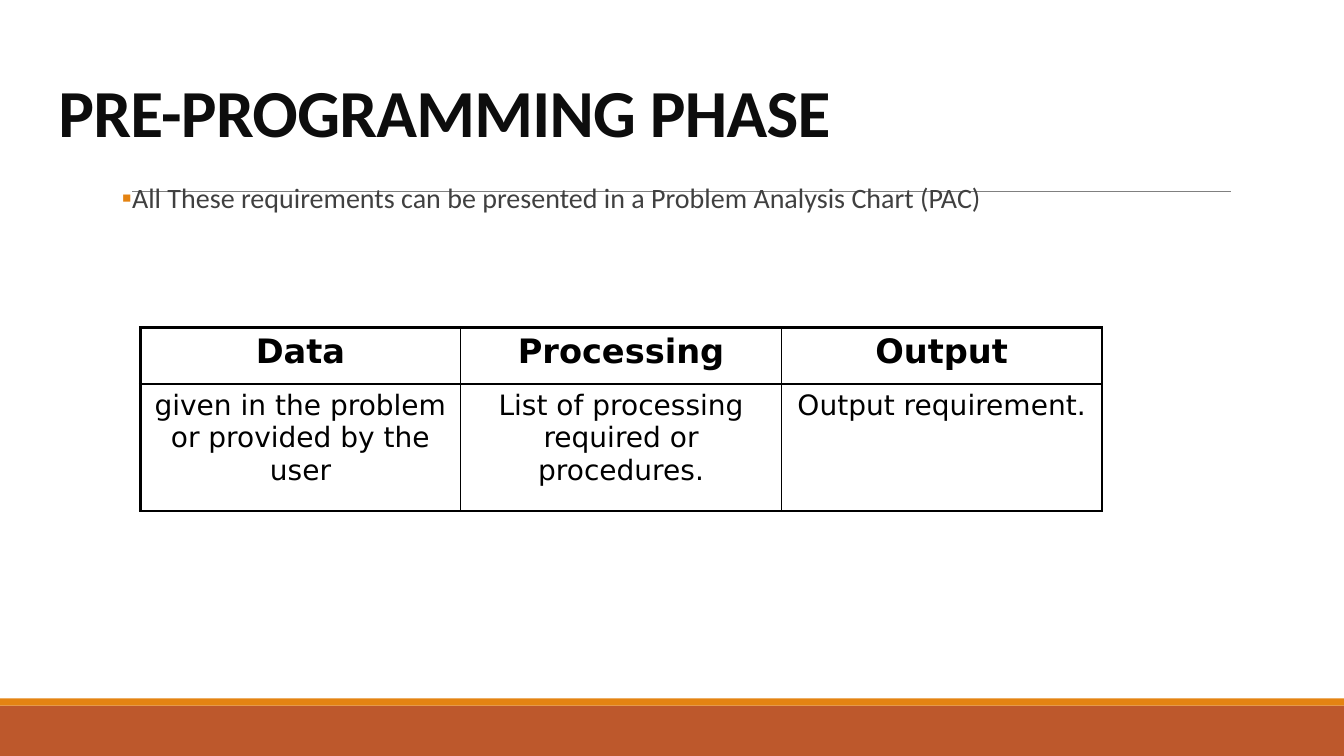
from dataclasses import dataclass
from typing import Any, NamedTuple

from lxml import etree
from pptx import Presentation
from pptx.dml.color import RGBColor
from pptx.enum import shapes, text
from pptx.oxml import ns
from pptx.util import Inches, Pt


@dataclass(frozen=True)
class Theme:
    heading_font: str = "Calibri"
    table_font: str = "DejaVu Sans"
    title_size: float = 48
    header_size: float = 24
    body_size: float = 20
    title_color: str = "0D0D0D"
    body_color: str = "404040"
    ink: str = "000000"
    rule_color: str = "808080"
    accent: str = "E48312"
    footer: str = "BD582C"
    rule_width: float = 0.5
    outer_border: float = 2.25
    inner_border: float = 1


class Band(NamedTuple):
    top: float
    height: float
    color: str


class PacColumn(NamedTuple):
    heading: str
    content: str


THEME = Theme()
SLIDE_WIDTH, SLIDE_HEIGHT = 13.33, 7.5
BANDS = (Band(7, 0.5, THEME.footer), Band(6.93, 0.07, THEME.accent))
PAC_COLUMNS = (
    PacColumn("Data", "given in the problem or provided by the user"),
    PacColumn("Processing", "List of processing required or procedures."),
    PacColumn("Output", "Output requirement."),
)
PAC_ROW_HEIGHTS = (0.56, 1.26)
PAC_COLUMN_WIDTH = 3.18


def write_text(frame: Any, wording: str, *, size: float, color: str,
               font: str = THEME.heading_font, bold: bool = False,
               align: Any = text.PP_ALIGN.LEFT, line_spacing: float = 1,
               tracking: float = 0) -> Any:
    """Fill the first paragraph of a frame and return it; tracking is in points."""
    paragraph = frame.paragraphs[0]
    paragraph.alignment = align
    paragraph.line_spacing = line_spacing
    run = paragraph.add_run()
    run.text = wording
    run.font.name = font
    run.font.size = Pt(size)
    run.font.bold = bold
    run.font.color.rgb = RGBColor.from_string(color)
    if tracking:
        run.font._element.set("spc", str(round(tracking * 100)))
    return paragraph


def add_text_frame(slide: Any, left: float, top: float, width: float, height: float,
                   anchor: Any = text.MSO_ANCHOR.TOP, side_inset: float = 0.1) -> Any:
    frame = slide.shapes.add_textbox(
        Inches(left), Inches(top), Inches(width), Inches(height)).text_frame
    frame.word_wrap = True
    frame.vertical_anchor = anchor
    frame.margin_left = frame.margin_right = Inches(side_inset)
    return frame


def add_bullet(paragraph: Any, symbol: str, color: str, indent: float) -> None:
    properties = paragraph._p.get_or_add_pPr()
    properties.set("marL", str(Inches(indent)))
    properties.set("indent", str(-Inches(indent)))
    bullet_color = etree.SubElement(properties, ns.qn("a:buClr"))
    etree.SubElement(bullet_color, ns.qn("a:srgbClr"), val=color)
    etree.SubElement(properties, ns.qn("a:buFont"), typeface=THEME.heading_font)
    etree.SubElement(properties, ns.qn("a:buChar"), char=symbol)


def add_band(slide: Any, band: Band) -> None:
    bar = slide.shapes.add_shape(
        shapes.MSO_SHAPE.RECTANGLE, 0, Inches(band.top),
        Inches(SLIDE_WIDTH), Inches(band.height))
    bar.shadow.inherit = False
    bar.fill.solid()
    bar.fill.fore_color.rgb = RGBColor.from_string(band.color)
    bar.line.fill.background()


def add_title_rule(slide: Any) -> None:
    y = Inches(1.9)
    rule = slide.shapes.add_connector(
        shapes.MSO_CONNECTOR.STRAIGHT, Inches(1.31), y, Inches(12.21), y)
    rule.line.width = Pt(THEME.rule_width)
    rule.line.color.rgb = RGBColor.from_string(THEME.rule_color)
    etree.SubElement(rule._element.spPr, ns.qn("a:effectLst"))


def set_borders(cell: Any, outer_sides: dict[str, bool]) -> None:
    """Draw all four borders, heavier on the sides marked as outer."""
    properties = cell._tc.get_or_add_tcPr()
    for position, (side, is_outer) in enumerate(outer_sides.items()):
        width = THEME.outer_border if is_outer else THEME.inner_border
        border = etree.Element(ns.qn(f"a:ln{side}"), w=str(Pt(width)))
        fill = etree.SubElement(border, ns.qn("a:solidFill"))
        etree.SubElement(fill, ns.qn("a:srgbClr"), val=THEME.ink)
        properties.insert(position, border)


def add_analysis_chart(slide: Any) -> None:
    last_row, last_column = len(PAC_ROW_HEIGHTS) - 1, len(PAC_COLUMNS) - 1
    table = slide.shapes.add_table(
        last_row + 1, last_column + 1, Inches(1.39), Inches(3.25),
        Inches(PAC_COLUMN_WIDTH * len(PAC_COLUMNS)), Inches(sum(PAC_ROW_HEIGHTS))).table
    table.first_row = table.horz_banding = False
    for row, height in enumerate(PAC_ROW_HEIGHTS):
        table.rows[row].height = Inches(height)
    for column, entry in enumerate(PAC_COLUMNS):
        table.columns[column].width = Inches(PAC_COLUMN_WIDTH)
        for row, wording in enumerate(entry):
            is_heading = row == 0
            cell = table.cell(row, column)
            cell.fill.background()
            set_borders(cell, {"L": column == 0, "R": column == last_column,
                               "T": is_heading, "B": row == last_row})
            write_text(cell.text_frame, wording, font=THEME.table_font, color=THEME.ink,
                       size=THEME.header_size if is_heading else THEME.body_size,
                       bold=is_heading, align=text.PP_ALIGN.CENTER)


def main() -> None:
    deck = Presentation()
    deck.slide_width, deck.slide_height = Inches(SLIDE_WIDTH), Inches(SLIDE_HEIGHT)
    slide = deck.slides.add_slide(deck.slide_layouts[6])

    for band in BANDS:
        add_band(slide, band)
    add_title_rule(slide)

    title = add_text_frame(slide, 0.48, 0.72, 12, 0.83, anchor=text.MSO_ANCHOR.BOTTOM)
    write_text(title, "PRE-PROGRAMMING PHASE", size=THEME.title_size,
               color=THEME.title_color, bold=True, line_spacing=0.85, tracking=-0.5)

    statement = add_text_frame(slide, 1.21, 1.78, 8.58, 1.25, side_inset=0)
    requirement = write_text(
        statement, "All These requirements can be presented in a Problem Analysis Chart (PAC)",
        size=THEME.body_size, color=THEME.body_color, line_spacing=0.9)
    add_bullet(requirement, "▪", THEME.accent, indent=0.1)

    add_analysis_chart(slide)
    deck.save("out.pptx")


if __name__ == "__main__":
    main()
